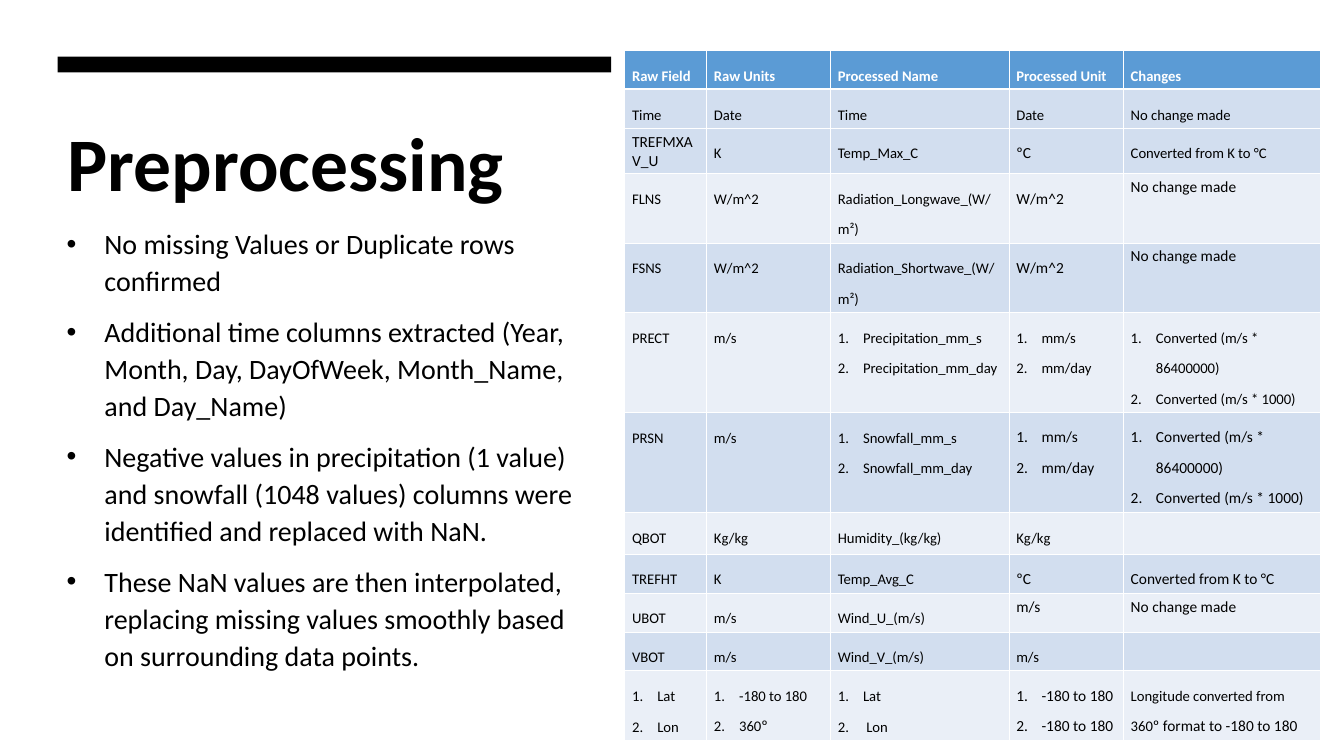
from lxml.etree import SubElement as Sub
from pptx import Presentation
from pptx.dml.color import RGBColor
from pptx.enum.shapes import MSO_SHAPE as Shape
from pptx.oxml.ns import qn
from pptx.util import Emu, Pt

SCALE = 9525
FONT = "Calibri"
BLACK = RGBColor(0x00, 0x00, 0x00)
WHITE = RGBColor(0xFF, 0xFF, 0xFF)
BLUE = RGBColor(0x5B, 0x9B, 0xD5)
MID = RGBColor(0xD2, 0xDE, 0xEF)
PALE = RGBColor(0xEA, 0xEF, 0xF7)

POINTS = [
    "No missing Values or Duplicate rows confirmed",
    "Additional time columns extracted (Year, Month, Day, DayOfWeek, "
    "Month_Name, and Day_Name)",
    "Negative values in precipitation (1 value) and snowfall (1048 values) "
    "columns were identified and replaced with NaN.",
    "These NaN values are then interpolated, replacing missing values "
    "smoothly based on surrounding data points.",
]

SAME = "No change made"
KELVIN = "Converted from K to °C"
FLUX = "W/m^2"
RATES = ["mm/s", "mm/day"]
FACTORS = ["Converted (m/s * 86400000)", "Converted (m/s * 1000)"]
FIELDS = [
    ["Raw Field", "Raw Units", "Processed Name", "Processed Unit", "Changes"],
    ["Time", "Date", "Time", "Date", SAME],
    ["TREFMXAV_U", "K", "Temp_Max_C", "ºC", KELVIN],
    ["FLNS", FLUX, "Radiation_Longwave_(W/m²)", FLUX, SAME],
    ["FSNS", FLUX, "Radiation_Shortwave_(W/m²)", FLUX, SAME],
    ["PRECT", "m/s", ["Precipitation_mm_s", "Precipitation_mm_day"],
     RATES, FACTORS],
    ["PRSN", "m/s", ["Snowfall_mm_s", "Snowfall_mm_day"], RATES, FACTORS],
    ["QBOT", "Kg/kg", "Humidity_(kg/kg)", "Kg/kg", ""],
    ["TREFHT", "K", "Temp_Avg_C", "ºC", KELVIN],
    ["UBOT", "m/s", "Wind_U_(m/s)", "m/s", SAME],
    ["VBOT", "m/s", "Wind_V_(m/s)", "m/s", ""],
    [["Lat", "Lon"], ["-180 to 180", "360|º"], ["Lat", " Lon"],
     ["-180 to 180", "-180 to 180"],
     "Longitude converted from 360|º format to -180 to 180"],
]
WIDTHS = [78, 118, 170, 109, 188]
HEIGHTS = [36, 36, 36, 36, 36, 65, 62, 40, 36, 36, 36, 62]
TIGHT = {(2, 0), (3, 4), (4, 4), (9, 3), (9, 4)}
LARGE = TIGHT | {(2, 3), (3, 3), (4, 3), (6, 3), (6, 4), (8, 3), (8, 4), (11, 3)}


def px(n):
    return Emu(n * SCALE)


def style(para, size, color, bold=False):
    font = para.font
    font.name, font.size, font.bold = FONT, Pt(size), bold
    font.color.rgb = color


def bullet(para, indent, tag, **attrs):
    props = para._p.get_or_add_pPr()
    props.set("marL", str(px(indent)))
    props.set("indent", str(-px(indent)))
    Sub(props, qn("a:buFont"), typeface="Arial" if tag == "a:buChar" else "+mj-lt")
    Sub(props, qn(tag), **attrs)


def add_bar(slide, left, top, width, height):
    bar = slide.shapes.add_shape(
        Shape.RECTANGLE, px(left), px(top), px(width), px(height))
    bar.shadow.inherit = False
    bar.fill.solid()
    bar.fill.fore_color.rgb = BLACK
    bar.line.fill.background()


def add_box(slide, left, top, width, height):
    box = slide.shapes.add_textbox(px(left), px(top), px(width), px(height))
    box.text_frame.word_wrap = True
    return box.text_frame


def add_title(slide, text):
    frame = add_box(slide, 55, 106, 527, 102)
    para = frame.paragraphs[0]
    para.text = text
    style(para, 54, BLACK, True)


def add_list(slide, items):
    frame = add_box(slide, 54, 208, 527, 512)
    for i, item in enumerate(items):
        para = frame.add_paragraph() if i else frame.paragraphs[0]
        para.text = item
        bullet(para, 36, "a:buChar", char="•")
        para.line_spacing = 1.1
        para.space_before = Pt(10)
        style(para, 20, BLACK)


def add_edge(cell, side, width):
    line = Sub(cell._tc.get_or_add_tcPr(), qn("a:ln" + side), w=str(Pt(width)))
    fill = Sub(line, qn("a:solidFill"))
    Sub(fill, qn("a:srgbClr"), val=str(WHITE))


def fill_cell(cell, row, col, value):
    head = row == 0
    cell.margin_left = cell.margin_right = px(7)
    cell.margin_top = cell.margin_bottom = px(4)
    for side in "LRTB":
        thick = (row, side) in ((0, "B"), (1, "T"))
        add_edge(cell, side, 1.9 if thick else 0.63)
    cell.fill.solid()
    cell.fill.fore_color.rgb = (
        BLUE if head else PALE if row > 1 and row % 2 else MID)
    many = isinstance(value, list)
    frame = cell.text_frame
    for i, text in enumerate(value if many else [value]):
        para = frame.add_paragraph() if i else frame.paragraphs[0]
        if many:
            bullet(para, 24, "a:buAutoNum", type="arabicPeriod")
        if (row, col) not in TIGHT:
            para.line_spacing = Pt(21.8)
        style(para, 11 if (row, col) in LARGE else 10.5,
              WHITE if head else BLACK, head)
        for j, part in enumerate(text.split("|")):
            run = para.add_run()
            run.text = part
            if j:
                run.font.size = Pt(11)


def add_fields(slide):
    table = slide.shapes.add_table(
        len(FIELDS), len(WIDTHS), px(595), px(48),
        px(sum(WIDTHS)), px(sum(HEIGHTS))).table
    for col, width in zip(table.columns, WIDTHS):
        col.width = px(width)
    for row, height in zip(table.rows, HEIGHTS):
        row.height = px(height)
    for r, values in enumerate(FIELDS):
        for c, value in enumerate(values):
            fill_cell(table.cell(r, c), r, c, value)


def main():
    deck = Presentation()
    deck.slide_width, deck.slide_height = px(1280), px(720)
    slide = deck.slides.add_slide(deck.slide_layouts[6])
    add_bar(slide, 55, 54, 527, 15)
    add_title(slide, "Preprocessing")
    add_list(slide, POINTS)
    add_fields(slide)
    deck.save("out.pptx")


if __name__ == "__main__":
    main()
